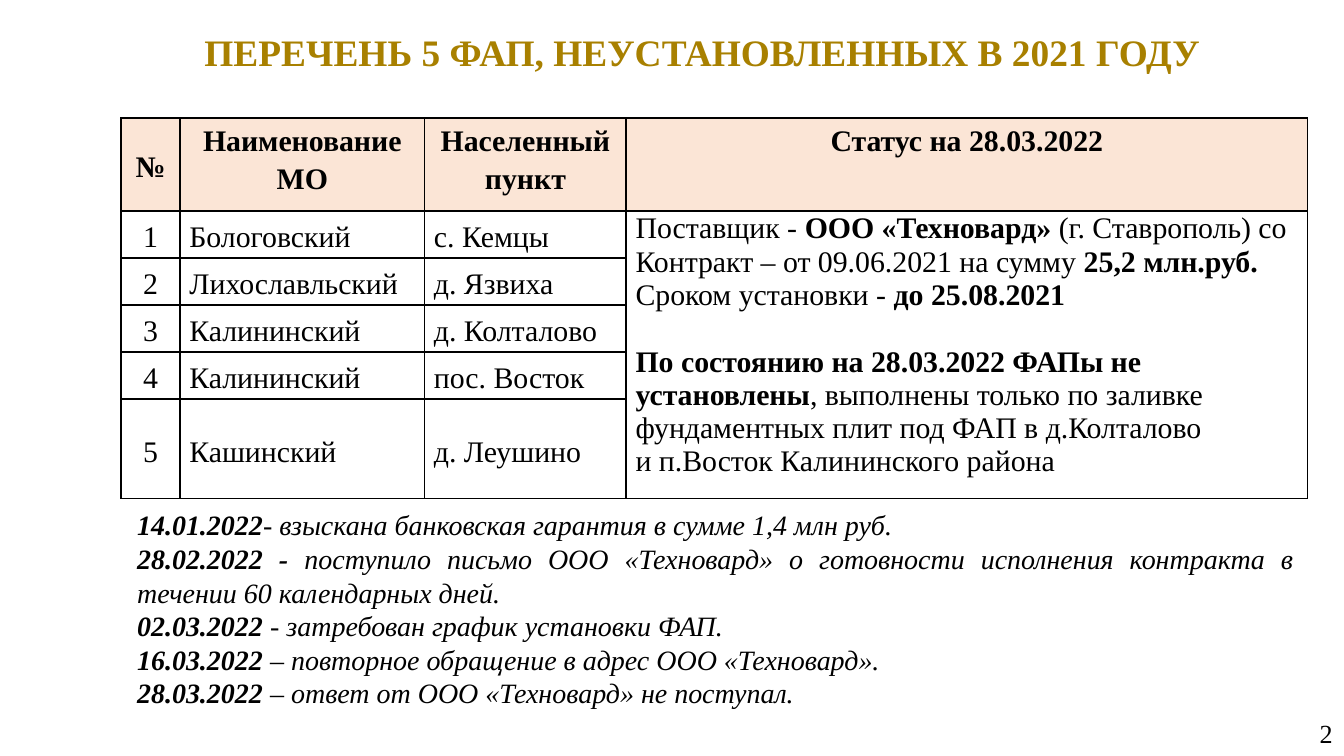
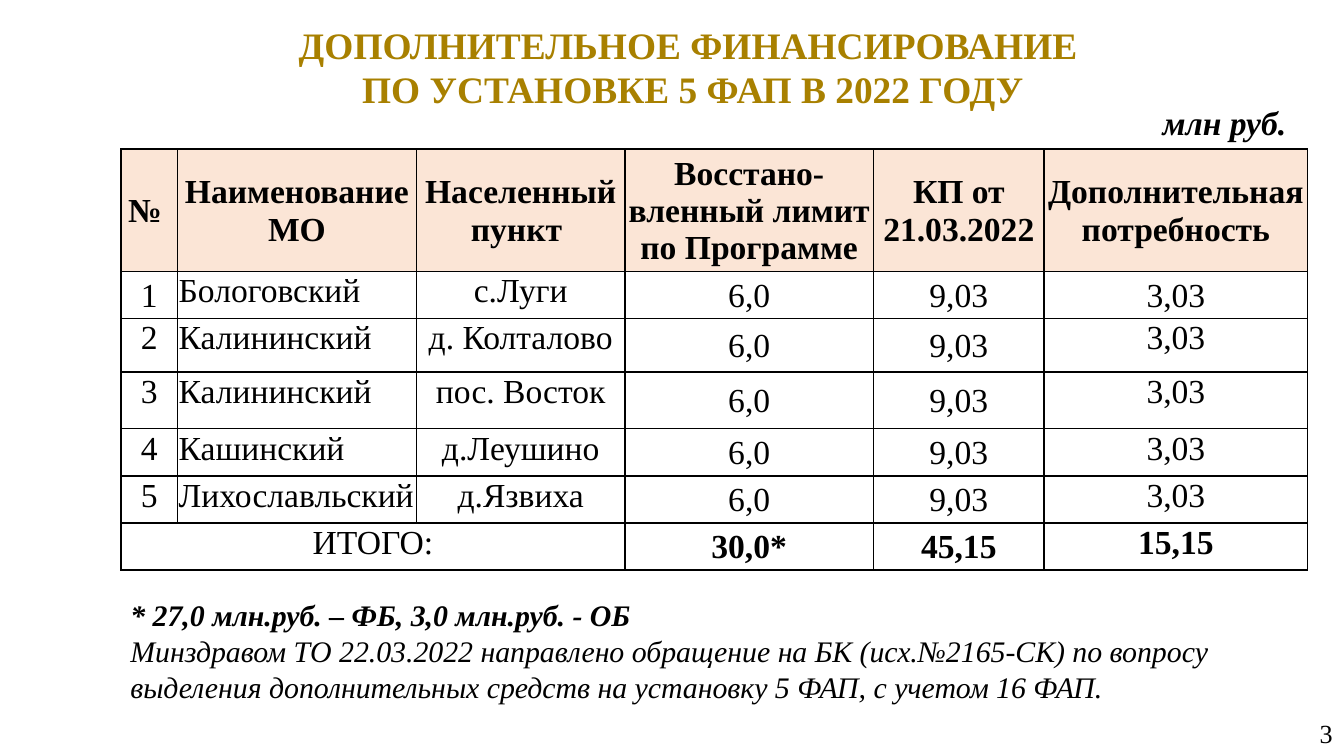
from dataclasses import dataclass
from typing import Optional

from lxml import etree
from pptx import Presentation
from pptx.dml.color import RGBColor
from pptx.enum.text import MSO_ANCHOR, MSO_AUTO_SIZE, PP_ALIGN
from pptx.oxml.ns import qn
from pptx.util import Emu, Pt

# Shared look
PX = 9144  # 100 px to the inch
FONT = "Times New Roman"
GOLD, BLACK, WHITE, PEACH = "A88000", "000000", "FFFFFF", "FBE5D6"
ALIGNS = {"l": PP_ALIGN.LEFT, "c": PP_ALIGN.CENTER, "r": PP_ALIGN.RIGHT, "j": PP_ALIGN.JUSTIFY}
ANCHORS = {"t": MSO_ANCHOR.TOP, "m": MSO_ANCHOR.MIDDLE}
NO_AUTOFIT = MSO_AUTO_SIZE.NONE
TITLE_AND_CONTENT = 1


@dataclass
class Span:
    text: str
    bold: bool = False


@dataclass
class Line:
    spans: list[Span]
    space_before: int = 0


@dataclass
class Style:
    size: int
    align: str = "l"
    color: str = BLACK
    italic: bool = False
    spacing: Optional[float] = None


@dataclass
class Area:
    left: int
    top: int
    width: int
    height: int


@dataclass
class Row:
    height: int
    cells: list[list[Line]]
    aligns: str
    anchors: str
    fill: Optional[str] = None


@dataclass
class Grid:
    area: Area
    columns: list[int]
    rows: list[Row]
    side_margin: int
    size: int
    spacing: Optional[float] = None


def px(length: int) -> Emu:
    return Emu(length * PX)


def rgb(color: str) -> RGBColor:
    return RGBColor.from_string(color)


def line(text: str, bold: bool = False) -> Line:
    return Line([Span(text, bold)])


def entry(date: str, text: str) -> Line:
    return Line([Span(date, True), Span(text)])


def cells(*texts: str, bold: bool = False) -> list[list[Line]]:
    return [[line(text, bold)] if text else [] for text in texts]


def write(frame, lines: list[Line], style: Style) -> None:
    for index, item in enumerate(lines):
        para = frame.add_paragraph() if index else frame.paragraphs[0]
        para.alignment = ALIGNS[style.align]
        para.space_before = Pt(item.space_before)
        if style.spacing:
            para.line_spacing = style.spacing
        # Cancel the placeholder's bullet and hanging indent
        properties = para._p.get_or_add_pPr()
        properties.set("marL", "0")
        properties.set("indent", "0")
        etree.SubElement(properties, qn("a:buNone"))
        font = para.font
        font.name, font.size, font.italic = FONT, Pt(style.size), style.italic
        font.color.rgb = rgb(style.color)
        mixed = len({span.bold for span in item.spans}) > 1
        if not mixed:
            font.bold = item.spans[0].bold
        for span in item.spans:
            for number, piece in enumerate(span.text.split("\n")):
                if number:
                    para.add_line_break()
                run = para.add_run()
                run.text = piece
                if mixed:
                    run.font.bold = span.bold


def place(shape, area: Area) -> None:
    shape.left, shape.top = px(area.left), px(area.top)
    shape.width, shape.height = px(area.width), px(area.height)


def set_margins(target, side: int, top: int, bottom: int) -> None:
    target.margin_left = target.margin_right = px(side)
    target.margin_top, target.margin_bottom = px(top), px(bottom)


def add_text(page, area: Area, text: Line, style: Style, wrap: bool = True) -> None:
    box = page.shapes.add_textbox(px(area.left), px(area.top), px(area.width), px(area.height))
    box.text_frame.word_wrap = wrap
    write(box.text_frame, [text], style)


def add_page(deck, number: int, title: list[str], title_area: Area,
             notes: list[Line], notes_area: Area, notes_style: Style):
    page = deck.slides.add_slide(deck.slide_layouts[TITLE_AND_CONTENT])
    heading, body = page.shapes.title, page.placeholders[1]
    # Title
    place(heading, title_area)
    frame = heading.text_frame
    frame.auto_size, frame.vertical_anchor = NO_AUTOFIT, ANCHORS["m"]
    set_margins(frame, 7, 4, 4)
    write(frame, [line(text, True) for text in title], Style(20, "c", GOLD))
    # Notes under the table
    place(body, notes_area)
    body.text_frame.auto_size = NO_AUTOFIT
    write(body.text_frame, notes, notes_style)
    # Page number
    add_text(page, Area(972, 529, 30, 34), line(str(number)), Style(14))
    return page


def add_borders(cell) -> None:
    properties = cell._tc.get_or_add_tcPr()
    for side in ("lnL", "lnR", "lnT", "lnB"):
        border = etree.SubElement(properties, qn(f"a:{side}"), w=str(Pt(1)))
        fill = etree.SubElement(border, qn("a:solidFill"))
        etree.SubElement(fill, qn("a:srgbClr"), val=BLACK)


def add_grid(page, grid: Grid):
    area = grid.area
    table = page.shapes.add_table(
        len(grid.rows), len(grid.columns),
        px(area.left), px(area.top), px(area.width), px(area.height)).table
    table.first_row = table.horz_banding = False
    for column, width in zip(table.columns, grid.columns):
        column.width = px(width)
    for row_index, row in enumerate(grid.rows):
        table.rows[row_index].height = px(row.height)
        for column_index, lines in enumerate(row.cells):
            cell = table.cell(row_index, column_index)
            set_margins(cell, grid.side_margin, 1, 0)
            cell.vertical_anchor = ANCHORS[row.anchors[column_index]]
            add_borders(cell)
            if row.fill:
                cell.fill.solid()
                cell.fill.fore_color.rgb = rgb(row.fill)
            else:
                cell.fill.background()
            style = Style(grid.size, row.aligns[column_index], spacing=grid.spacing)
            write(cell.text_frame, lines, style)
    return table


def build_list_page(deck) -> None:
    notes = [
        entry("14.01.2022", "- взыскана банковская гарантия в сумме 1,4 млн руб."),
        entry("28.02.2022 - ", "поступило письмо ООО «Техновард» о готовности исполнения "
              "контракта в течении 60 календарных дней. "),
        entry("02.03.2022 ", "- затребован график установки ФАП. "),
        entry("16.03.2022 ", "– повторное обращение в адрес ООО «Техновард»."),
        entry("28.03.2022 ", "– ответ от ООО «Техновард» не поступал."),
    ]
    page = add_page(deck, 2, ["ПЕРЕЧЕНЬ 5 ФАП, НЕУСТАНОВЛЕННЫХ В 2021 ГОДУ"],
                    Area(64, 10, 917, 57), notes, Area(92, 373, 881, 162),
                    Style(15, "j", italic=True, spacing=Pt(18)))
    status = [
        Line([Span("Поставщик - "), Span("ООО «Техновард» ", True),
              Span("(г. Ставрополь) со Контракт – от 09.06.2021 на сумму "),
              Span("25,2 млн.руб.", True)]),
        Line([Span("Сроком установки - "), Span("до 25.08.2021", True)]),
        Line([Span("По состоянию на 28.03.2022 ФАПы не установлены", True),
              Span(", выполнены только по заливке фундаментных плит под ФАП "
                   "в д.Колталово \nи п.Восток Калининского района")], space_before=18),
    ]
    places = [("Бологовский", "с. Кемцы"), ("Лихославльский", "д. Язвиха"),
              ("Калининский", "д. Колталово"), ("Калининский", "пос. Восток"),
              ("Кашинский", "д. Леушино")]
    header = cells("№", "Наименование МО", "Населенный пункт", "Статус на 28.03.2022", bold=True)
    rows = [Row(69, header, "cccc", "mttt", PEACH)]
    for number, names in enumerate(places, 1):
        height = 74 if number == len(places) else 35
        rows.append(Row(height, cells(str(number), *names) + [[]], "clll", "mmmt"))
    table = add_grid(page, Grid(Area(90, 88, 883, 284), [44, 182, 150, 507], rows, 7, 16, 1.15))
    # One status for all five places, set at single spacing
    status_cell = table.cell(1, 3)
    status_cell.merge(table.cell(len(places), 3))
    write(status_cell.text_frame, status, Style(16))


def build_funding_page(deck) -> None:
    notes = [
        line("* 27,0 млн.руб. – ФБ, 3,0 млн.руб. - ОБ", True),
        line("Минздравом ТО 22.03.2022 направлено обращение на БК (исх.№2165-СК) по вопросу "
             "выделения дополнительных средств на установку 5 ФАП, с учетом 16 ФАП."),
    ]
    page = add_page(deck, 3, ["ДОПОЛНИТЕЛЬНОЕ ФИНАНСИРОВАНИЕ ", "ПО УСТАНОВКЕ 5 ФАП В 2022 ГОДУ"],
                    Area(57, 21, 917, 57), notes, Area(87, 439, 884, 91),
                    Style(16, italic=True))
    add_text(page, Area(854, 71, 113, 40), line("млн руб.", True),
             Style(18, "r", italic=True), wrap=False)
    places = [("Бологовский", "с.Луги", 35), ("Калининский", "д. Колталово", 40),
              ("Калининский", "пос. Восток", 42), ("Кашинский", "д.Леушино", 35),
              ("Лихославльский", "д.Язвиха", 35)]
    header = cells("№ ", "Наименование МО", "Населенный пункт ",
                   "Восстано-вленный лимит по Программе", "КП от 21.03.2022",
                   "Дополнительная потребность", bold=True)
    rows = [Row(91, header, "cccccc", "mmmmmm", PEACH)]
    for number, (district, village, height) in enumerate(places, 1):
        anchors = "mttmmm" if number == 1 else "tttmmt"
        values = cells(str(number), district, village, "6,0", "9,03", "3,03")
        rows.append(Row(height, values, "clcccc", anchors, WHITE))
    totals = cells("ИТОГО:", "", "") + cells("30,0*", "45,15", "15,15", bold=True)
    rows.append(Row(35, totals, "cccccc", "tttmmt", WHITE))
    table = add_grid(page, Grid(Area(90, 111, 883, 313), [42, 178, 155, 185, 127, 196], rows, 1, 18))
    last = len(rows) - 1
    table.cell(last, 0).merge(table.cell(last, 2))


def main() -> None:
    deck = Presentation()
    deck.slide_width = px(1000)
    deck.slide_height = Emu(deck.slide_width * 9 // 16)
    build_list_page(deck)
    build_funding_page(deck)
    deck.save("out.pptx")


if __name__ == "__main__":
    main()
